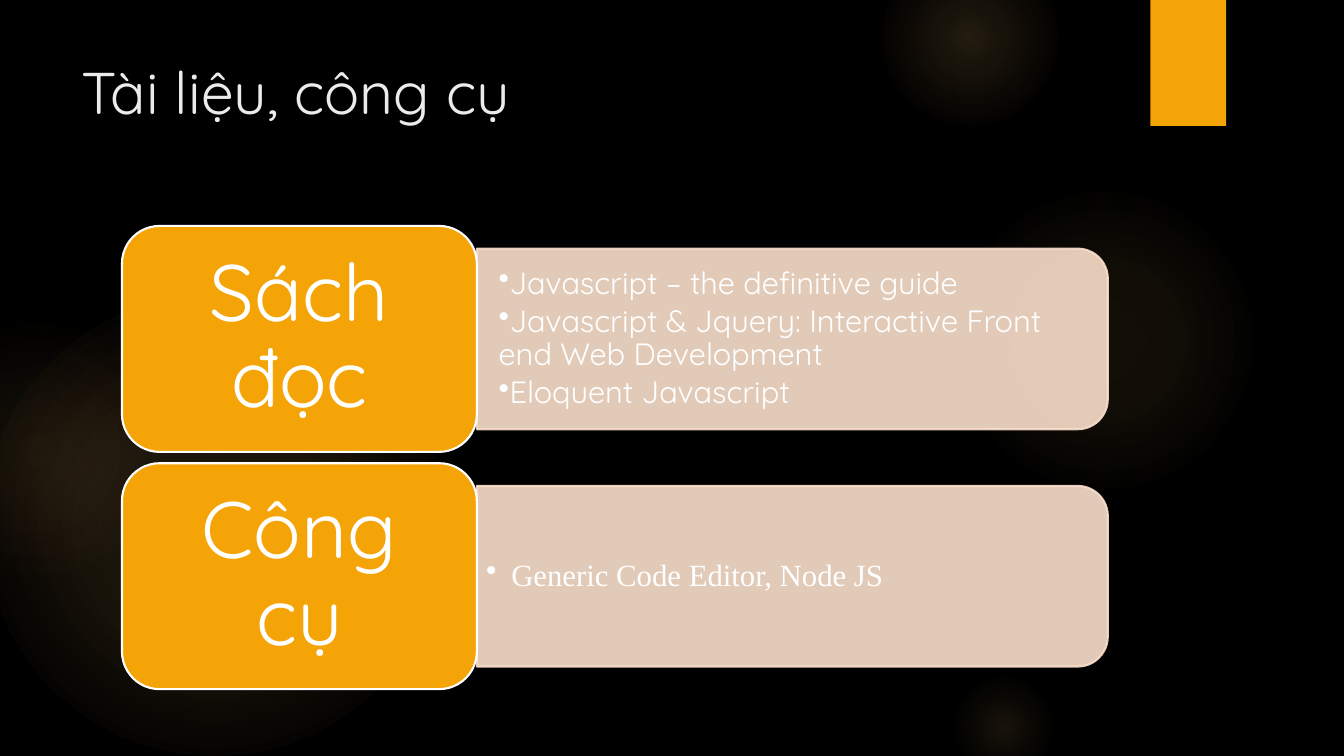
from dataclasses import dataclass

from lxml import etree
from pptx import Presentation
from pptx.dml.color import RGBColor
from pptx.enum.shapes import MSO_SHAPE
from pptx.enum.text import MSO_ANCHOR, PP_ALIGN
from pptx.oxml import parse_xml
from pptx.oxml.ns import nsdecls, qn
from pptx.shapes.autoshape import Shape
from pptx.slide import Slide
from pptx.text.text import TextFrame, _Paragraph
from pptx.util import Pt

RECT, OVAL = MSO_SHAPE.RECTANGLE, MSO_SHAPE.OVAL
ROUNDED, ROUND_TOP = MSO_SHAPE.ROUNDED_RECTANGLE, MSO_SHAPE.ROUND_2_SAME_RECTANGLE
MIDDLE, CENTER, LEFT = MSO_ANCHOR.MIDDLE, PP_ALIGN.CENTER, PP_ALIGN.LEFT


@dataclass(frozen=True)
class Theme:
    background: str = "000000"
    accent: str = "F5A408"
    panel: str = "FBE0CC"
    glow: str = "FAC96A"
    glow_edge: str = "F59B74"
    title: str = "EBEBEB"
    text: str = "FFFFFF"
    font: str = "Quicksand"
    title_size: float = 42
    label_size: float = 57
    item_size: float = 22
    panel_opacity: int = 90
    outline: float = 1.5


THEME = Theme()


@dataclass(frozen=True)
class Glow:
    left: float
    top: float
    size: float
    stops: tuple[tuple[int, int], ...]  # (position %, opacity %)
    edge: str = THEME.glow


@dataclass(frozen=True)
class Section:
    label: str
    items: tuple[str, ...]
    font: str
    margin: float
    indent: float


GLOWS = (
    Glow(-12, 210, 330, ((0, 11), (36, 10), (75, 0))),
    Glow(-66, 228, 186, ((0, 8), (36, 5), (71, 0)), THEME.glow_edge),
    Glow(677.5, 132, 222, ((0, 7), (36, 6), (69, 0))),
    Glow(630, -36, 126, ((0, 14), (36, 7), (73, 0))),
    Glow(677.5, 480, 78, ((0, 10), (31, 5), (66, 0))),
)
SECTIONS = (
    Section("Sách đọc", ("Javascript – the definitive guide",
                         "Javascript & Jquery: Interactive Front end Web Development",
                         "Eloquent Javascript"), THEME.font, 9, 0),
    Section("Công cụ", ("Generic Code Editor, Node JS",), "Times New Roman", 18, -18),
)
CARD_LEFT, CARD_TOP, CARD_W, CARD_H = 87.1, 161.4, 253.5, 161.4
SECTION_PITCH = 169.5
PANEL_W, PANEL_H = 450.7, 129
PANEL_TEXT_W, PANEL_TEXT_H = 444.2, 116.6


def rgb(color: str) -> RGBColor:
    return RGBColor.from_string(color)


def add_box(s: Slide, kind: MSO_SHAPE, left: float, top: float, width: float,
            height: float, fill: str, line: str | None = None) -> Shape:
    sp = s.shapes.add_shape(kind, Pt(left), Pt(top), Pt(width), Pt(height))
    sp.shadow.inherit = False
    sp.fill.solid()
    sp.fill.fore_color.rgb = rgb(fill)
    if line:
        sp.line.color.rgb = rgb(line)
        sp.line.width = Pt(THEME.outline)
    else:
        sp.line.fill.background()
    return sp


def style(p: _Paragraph, size: float, color: str, align: PP_ALIGN = LEFT,
          font: str = THEME.font) -> None:
    p.alignment = align
    for r in p.runs:
        r.font.name, r.font.size = font, Pt(size)
        r.font.color.rgb = rgb(color)


def set_margins(tf: TextFrame, side: float, end: float) -> None:
    tf.word_wrap = True
    tf.margin_left = tf.margin_right = Pt(side)
    tf.margin_top = tf.margin_bottom = Pt(end)


def add_glow(s: Slide, glow: Glow) -> None:
    """Draw a circle whose radial gradient fades to transparent."""
    sp = add_box(s, OVAL, glow.left, glow.top, glow.size, glow.size, THEME.glow)
    colors = (THEME.glow, THEME.glow, glow.edge)
    stops = "".join(
        f'<a:gs pos="{pos * 1000}"><a:srgbClr val="{color}">'
        f'<a:alpha val="{opacity * 1000}"/></a:srgbClr></a:gs>'
        for (pos, opacity), color in zip(glow.stops, colors))
    gradient = parse_xml(
        f'<a:gradFill {nsdecls("a")} rotWithShape="1"><a:gsLst>{stops}</a:gsLst>'
        '<a:path path="circle"><a:fillToRect l="50000" t="50000" r="50000" b="50000"/>'
        '</a:path></a:gradFill>')
    sp_pr = sp._element.spPr
    sp_pr.replace(sp_pr.find(qn("a:solidFill")), gradient)


def add_panel(s: Slide, left: float, middle: float) -> None:
    """Turn a top-rounded box by 90° so that its right corners are round."""
    sp = add_box(s, ROUND_TOP, left + (PANEL_W - PANEL_H) / 2, middle - PANEL_W / 2,
                 PANEL_H, PANEL_W, THEME.panel, THEME.panel)
    sp.rotation = 90
    for color in sp._element.spPr.iter(qn("a:srgbClr")):
        etree.SubElement(color, qn("a:alpha"), val=str(THEME.panel_opacity * 1000))


def add_items(s: Slide, section: Section, left: float, middle: float) -> None:
    sp = s.shapes.add_textbox(Pt(left), Pt(middle - PANEL_TEXT_H / 2),
                              Pt(PANEL_TEXT_W), Pt(PANEL_TEXT_H))
    tf = sp.text_frame
    set_margins(tf, 6.6, 3.3)
    tf.vertical_anchor = MIDDLE
    tf.text = "\n".join(section.items)
    for p in tf.paragraphs:
        style(p, THEME.item_size, THEME.text, font=section.font)
        p.line_spacing, p.space_after = 0.9, Pt(3.5)
        p_pr = p._p.get_or_add_pPr()
        p_pr.set("marL", str(Pt(section.margin)))
        p_pr.set("indent", str(Pt(section.indent)))
        etree.SubElement(p_pr, qn("a:buChar"), char="•")


def add_section(s: Slide, section: Section, top: float) -> None:
    left, middle = CARD_LEFT + CARD_W, top + CARD_H / 2
    add_panel(s, left, middle)
    add_items(s, section, left, middle)
    card = add_box(s, ROUNDED, CARD_LEFT, top, CARD_W, CARD_H, THEME.accent, THEME.text)
    tf = card.text_frame
    set_margins(tf, 17, 8.5)
    tf.vertical_anchor = MIDDLE
    tf.text = section.label
    p = tf.paragraphs[0]
    style(p, THEME.label_size, THEME.text, CENTER)
    p.line_spacing = 0.9


def add_title(s: Slide, text: str) -> None:
    tf = s.shapes.add_textbox(Pt(51), Pt(36), Pt(741), Pt(110)).text_frame
    tf.word_wrap = True
    tf.text = text
    style(tf.paragraphs[0], THEME.title_size, THEME.title)


def main() -> None:
    prs = Presentation()
    prs.slide_width, prs.slide_height = Pt(960), Pt(540)
    s = prs.slides.add_slide(prs.slide_layouts[6])
    s.background.fill.solid()
    s.background.fill.fore_color.rgb = rgb(THEME.background)
    for glow in GLOWS:
        add_glow(s, glow)
    add_box(s, RECT, 821.8, 0, 54, 90, THEME.accent)
    add_title(s, "Tài liệu, công cụ")
    for i, section in enumerate(SECTIONS):
        add_section(s, section, CARD_TOP + i * SECTION_PITCH)
    prs.save("out.pptx")


if __name__ == "__main__":
    main()
